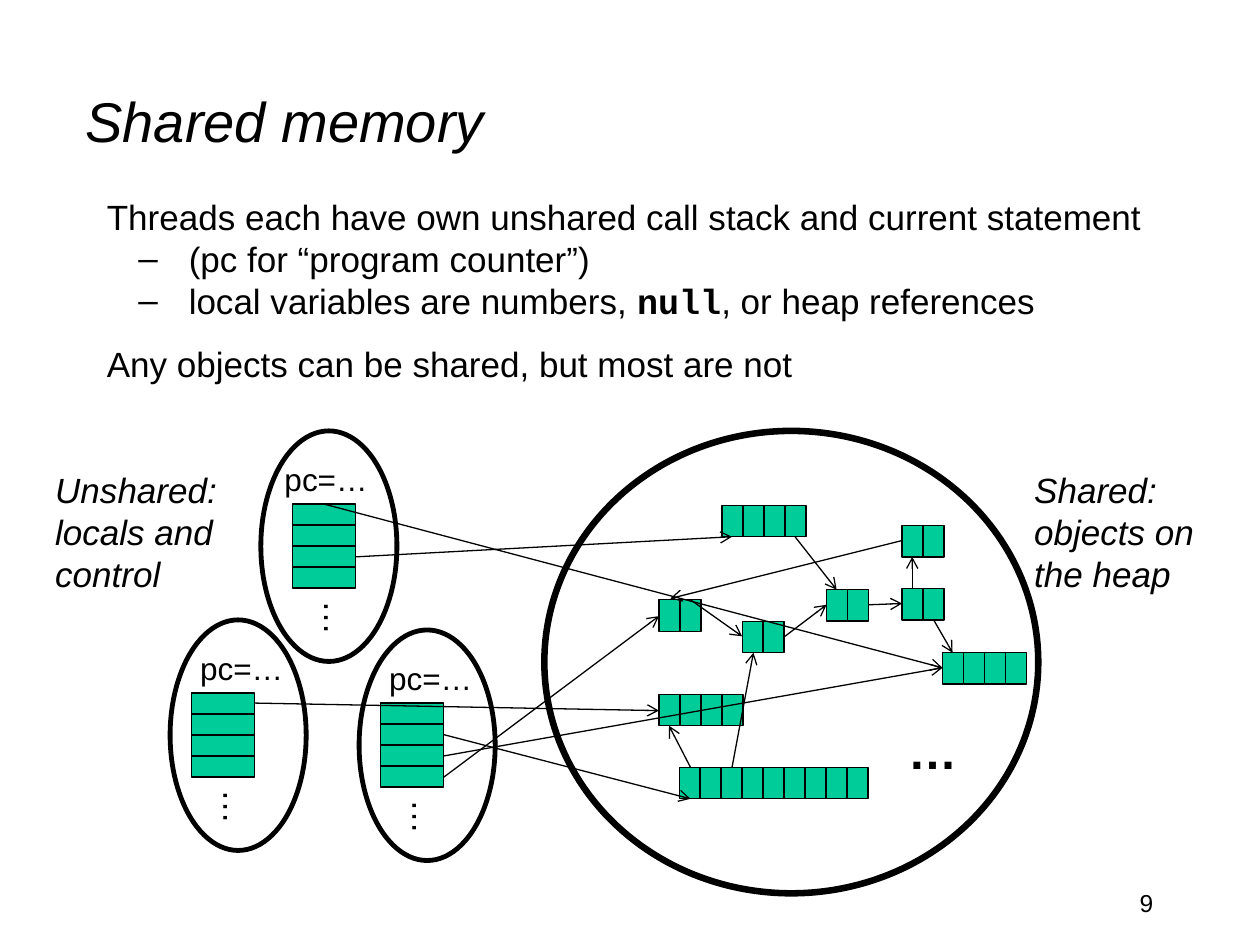
from lxml import etree
from pptx import Presentation
from pptx.dml.color import RGBColor
from pptx.enum.shapes import MSO_CONNECTOR, MSO_SHAPE
from pptx.enum.text import MSO_ANCHOR, PP_ALIGN
from pptx.oxml.ns import qn
from pptx.util import Inches, Pt

BLACK = RGBColor(0x00, 0x00, 0x00)
GREEN = RGBColor(0x00, 0xCC, 0x99)
RECT, OVAL = MSO_SHAPE.RECTANGLE, MSO_SHAPE.OVAL
STRAIGHT = MSO_CONNECTOR.STRAIGHT
MIDDLE, RIGHT = MSO_ANCHOR.MIDDLE, PP_ALIGN.RIGHT
SANS, MONO = "Arial", "Courier New"

# Content: lengths in inches
TITLE = "Shared memory"
PAGE_NUMBER = "9"
# (is sub-point, space before in points, runs of (text, is code))
POINTS = [
    (False, 0, [("Threads each have own unshared call stack and current statement", False)]),
    (True, 0, [("(pc for “program counter”)", False)]),
    (True, 0, [("local variables are numbers, ", False), ("null", True),
               (", or heap references", False)]),
    (False, 12, [("Any objects can be shared, but most are not", False)]),
]
# (left, width, lines)
SIDE_LABELS = [
    (0.34, 1.54, ["Unshared:", "locals and", "control"]),
    (8.11, 1.55, ["Shared:", "objects on", "the heap"]),
]
# (left, top, number of fields)
HEAP_OBJECTS = [
    (5.23, 4.76, 2), (5.23, 5.51, 4), (5.89, 4.93, 2), (6.56, 4.68, 2),
    (5.73, 4.01, 4), (7.48, 5.18, 4), (5.39, 6.09, 9), (7.16, 4.67, 2),
    (7.16, 4.17, 2),
]
# (oval left, oval top, stack left, pc label left)
THREADS = [(2.07, 3.42, 2.32, 2.16), (1.35, 4.92, 1.52, 1.49), (2.85, 5, 3.02, 2.99)]
HEAP_REFERENCES = [
    ((6.31, 4.26), (6.64, 4.68)), ((5.48, 4.76), (5.89, 5.05)),
    ((6.23, 5.05), (6.56, 4.8)), ((5.48, 6.09), (5.31, 5.76)),
    ((5.81, 6.09), (5.98, 5.18)), ((6.89, 4.8), (7.16, 4.79)),
    ((7.24, 4.67), (7.24, 4.42)), ((7.16, 4.29), (5.32, 4.75)),
    ((7.41, 4.92), (7.56, 5.18)),
]
STACK_REFERENCES = [
    ((2.57, 4), (7.48, 5.3)), ((2.82, 4.42), (5.81, 4.26)),
    ((2.02, 5.58), (5.23, 5.64)), ((3.52, 5.83), (5.48, 6.34)),
    ((3.52, 6.17), (5.23, 4.89)), ((3.52, 6), (7.48, 5.3)),
]
CELL = 1 / 6
STACK_SLOTS = 4

prs = Presentation()
prs.slide_width, prs.slide_height = Inches(10), Inches(7.5)
slide = prs.slides.add_slide(prs.slide_layouts[6])


def add_shape(kind, left, top, width, height, line_width, fill=None):
    shape = slide.shapes.add_shape(kind, Inches(left), Inches(top),
                                   Inches(width), Inches(height))
    shape.shadow.inherit = False
    if fill is None:
        shape.fill.background()
    else:
        shape.fill.solid()
        shape.fill.fore_color.rgb = fill
    shape.line.color.rgb = BLACK
    shape.line.width = Pt(line_width)


def add_arrow(start, end):
    arrow = slide.shapes.add_connector(STRAIGHT, *map(Inches, start + end))
    arrow.line.color.rgb = BLACK
    arrow.line.width = Pt(0.75)
    etree.SubElement(arrow.line._get_or_add_ln(), qn("a:tailEnd"), type="arrow")
    etree.SubElement(arrow._element.spPr, qn("a:effectLst"))


def add_run(paragraph, text, size, italic=False, bold=False, font=SANS):
    run = paragraph.add_run()
    run.text = text
    run.font.name, run.font.size = font, Pt(size)
    run.font.italic, run.font.bold = italic, bold
    run.font.color.rgb = BLACK


def add_text(left, top, width, height, lines, size, wrap=False, **style):
    box = slide.shapes.add_textbox(Inches(left), Inches(top),
                                   Inches(width), Inches(height))
    frame = box.text_frame
    frame.word_wrap = wrap
    for i, line in enumerate(lines):
        paragraph = frame.add_paragraph() if i else frame.paragraphs[0]
        add_run(paragraph, line, size, **style)
    return box


# Title and page number
title = add_text(0.58, 0.33, 8.5, 1.25, [TITLE], 32, wrap=True, italic=True)
title.text_frame.vertical_anchor = MIDDLE
number = add_text(7.17, 7, 2.08, 0.5, [PAGE_NUMBER], 14, wrap=True)
number.text_frame.paragraphs[0].alignment = RIGHT

# Heap
add_shape(OVAL, 4.32, 3.42, 3.92, 3.67, 3.75)
for left, top, fields in HEAP_OBJECTS:
    for i in range(fields):
        add_shape(RECT, left + i * CELL, top, CELL, 0.25, 0.75, GREEN)
for start, end in HEAP_REFERENCES:
    add_arrow(start, end)
add_text(7.11, 5.67, 0.59, 0.57, ["…"], 28, bold=True)

# Threads with their call stacks
for left, top, stack_left, label_left in THREADS:
    add_shape(OVAL, left, top, 1.08, 1.83, 2.75)
    add_text(label_left, top + 0.18, 0.87, 0.4, ["pc=…"], 18)
    for i in range(STACK_SLOTS):
        add_shape(RECT, stack_left, top + 0.58 + i * CELL, 0.5, CELL, 0.75, GREEN)
    more = add_text(stack_left + 0.12, top + 1.27, 0.48, 0.44, ["…"], 20)
    more.rotation = 90
for start, end in STACK_REFERENCES:
    add_arrow(start, end)

# Side labels
for left, width, lines in SIDE_LABELS:
    add_text(left, 3.67, width, 1.11, lines, 20, italic=True)

# Main points
points = add_text(0.75, 1.5, 8.96, 1.62, [], 20, wrap=True).text_frame
for i, (is_sub, space, runs) in enumerate(POINTS):
    paragraph = points.add_paragraph() if i else points.paragraphs[0]
    paragraph.space_before = Pt(space)
    if is_sub:
        paragraph.level = 1
        props = paragraph._p.get_or_add_pPr()
        props.set("marL", str(Inches(0.65)))
        props.set("indent", str(Inches(-0.4)))
        etree.SubElement(props, qn("a:buFont"), typeface=SANS)
        etree.SubElement(props, qn("a:buChar"), char="–")
    for text, is_code in runs:
        add_run(paragraph, text, 20, bold=is_code, font=MONO if is_code else SANS)

prs.save("out.pptx")
